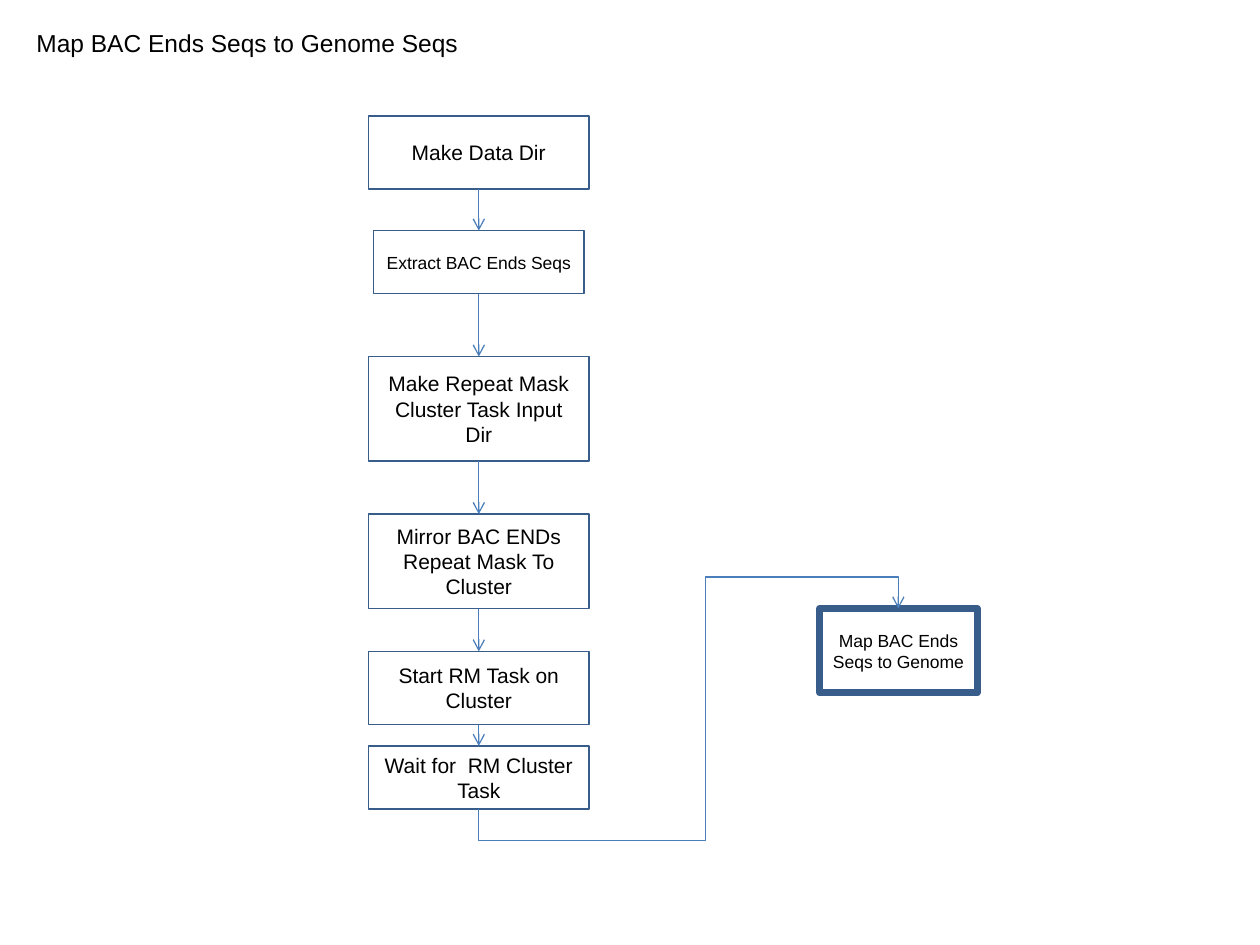
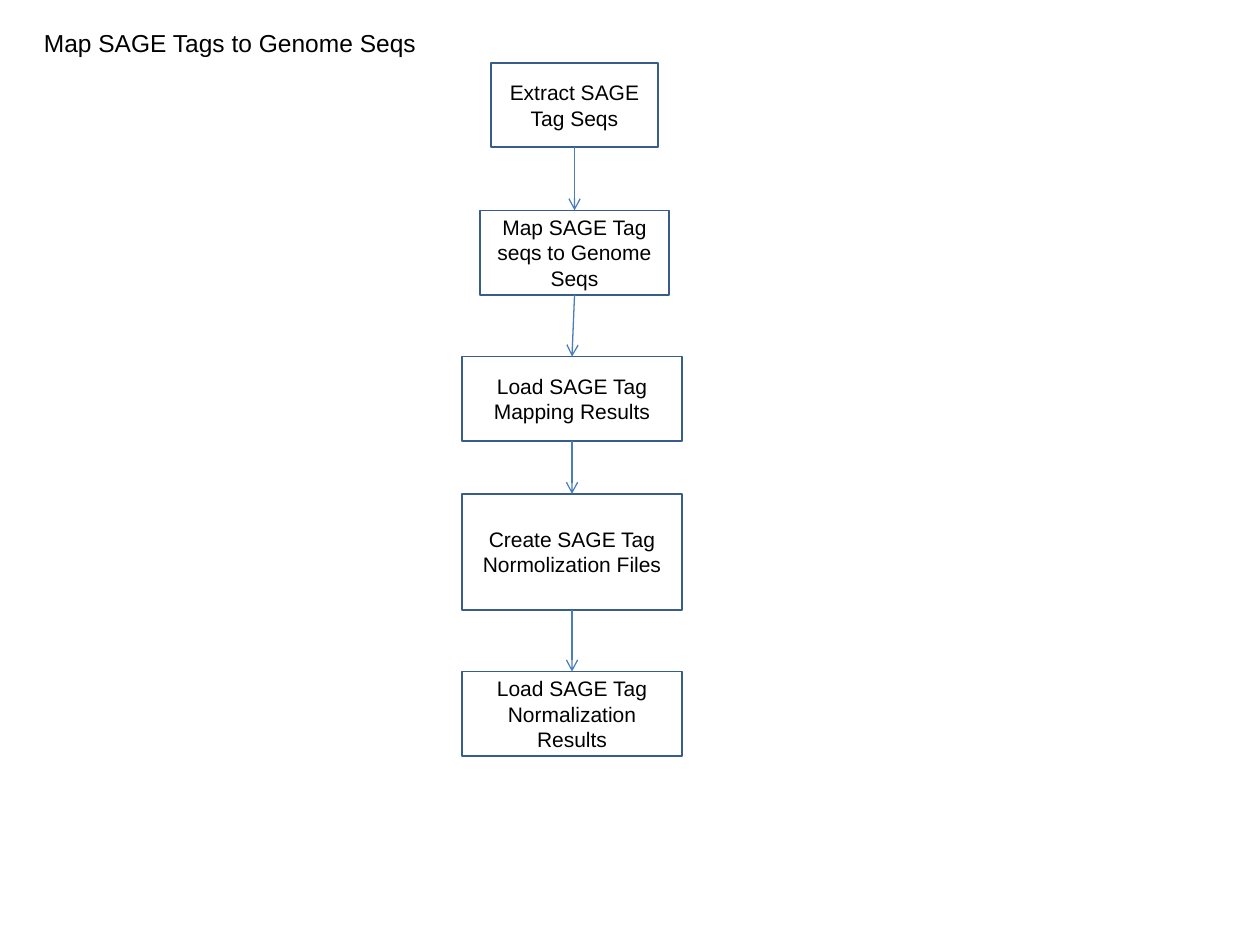
from dataclasses import dataclass

from lxml.etree import SubElement
from pptx import Presentation
from pptx.dml.color import RGBColor
from pptx.enum.shapes import MSO_CONNECTOR, MSO_SHAPE
from pptx.enum.text import MSO_ANCHOR, PP_ALIGN
from pptx.oxml.ns import qn
from pptx.util import Inches, Pt

BLACK = RGBColor(0x00, 0x00, 0x00)
BOX_LINE = RGBColor(0x38, 0x5D, 0x8A)
ARROW_LINE = RGBColor(0x4A, 0x7E, 0xBB)
FONT = "Arial"
BOTTOM, TOP = 2, 0  # connection sites of a rectangle


@dataclass
class Title:
    text: str
    left: float
    width: float
    height: float = 0.34


@dataclass
class Step:
    text: str
    center: float
    top: float
    width: float
    height: float
    size: int = 12
    line: float = 1


@dataclass
class Flow:
    title: Title
    steps: list[Step]


BAC_X, SAGE_X, STEP_W = 3.8, 4.54, 1.75

BAC_FLOW = Flow(
    Title("Map BAC Ends Seqs to Genome Seqs", 0.19, 3.55),
    [
        Step("Make Data Dir", BAC_X, 0.92, STEP_W, 0.58),
        Step("Extract BAC Ends Seqs", BAC_X, 1.83, 1.67, 0.5, size=10),
        Step("Make Repeat Mask Cluster Task Input Dir", BAC_X, 2.83, STEP_W, 0.83),
        Step("Mirror BAC ENDs Repeat Mask To Cluster", BAC_X, 4.08, STEP_W, 0.75),
        Step("Start RM Task on Cluster", BAC_X, 5.17, STEP_W, 0.58),
        Step("Wait for  RM Cluster Task", BAC_X, 5.92, STEP_W, 0.5),
    ],
)
GENOME_STEP = Step("Map BAC Ends Seqs to Genome", 7.13, 4.83, 1.25, 0.67, size=10, line=4)

SAGE_FLOW = Flow(
    Title("Map SAGE Tags to Genome Seqs", 0.25, 3.17, 0.57),
    [
        Step("Extract SAGE Tag Seqs", 4.56, 0.5, 1.33, 0.67),
        Step("Map SAGE Tag seqs to Genome Seqs", 4.56, 1.67, 1.5, 0.67),
        Step("Load SAGE Tag Mapping Results", SAGE_X, 2.83, STEP_W, 0.67),
        Step("Create SAGE Tag Normolization Files", SAGE_X, 3.92, STEP_W, 0.92),
        Step("Load SAGE Tag Normalization Results", SAGE_X, 5.33, STEP_W, 0.67),
    ],
)


def write(tf, text: str, size: int, align, **frame) -> None:
    for name, value in frame.items():
        setattr(tf, name, value)
    p = tf.paragraphs[0]
    p.alignment = align
    r = p.add_run()
    r.text = text
    for name, value in {"name": FONT, "size": Pt(size)}.items():
        setattr(r.font, name, value)
    r.font.color.rgb = BLACK


def add_title(s, title: Title) -> None:
    sp = s.shapes.add_textbox(Inches(title.left), Inches(0.17),
                              Inches(title.width), Inches(title.height))
    write(sp.text_frame, title.text, 14, PP_ALIGN.LEFT, word_wrap=False)


def add_step(s, step: Step):
    sp = s.shapes.add_shape(MSO_SHAPE.RECTANGLE, Inches(step.center - step.width / 2),
                            Inches(step.top), Inches(step.width), Inches(step.height))
    sp.shadow.inherit = False
    sp.fill.background()
    sp.line.color.rgb = BOX_LINE
    sp.line.width = Pt(step.line)
    write(sp.text_frame, step.text, step.size, PP_ALIGN.CENTER,
          word_wrap=True, vertical_anchor=MSO_ANCHOR.MIDDLE)
    return sp


def style_arrow(cxn) -> None:
    cxn.line.color.rgb = ARROW_LINE
    cxn.line.width = Pt(0.75)
    SubElement(cxn.line._get_or_add_ln(), qn("a:tailEnd"), type="arrow")
    SubElement(cxn._element.spPr, qn("a:effectLst"))


def add_arrow(s, upper, lower) -> None:
    cxn = s.shapes.add_connector(MSO_CONNECTOR.STRAIGHT, 0, 0, 0, 0)
    cxn.begin_connect(upper, BOTTOM)
    cxn.end_connect(lower, TOP)
    style_arrow(cxn)


def add_loop_arrow(s, start: Step, end: Step) -> None:
    """Leave start downwards, rise between the columns, enter end from above."""
    x1, y1 = start.center, start.top + start.height
    x2, y2 = end.center, end.top
    rise, run = y1 - y2, x2 - x1
    # The frame is turned a quarter, so its width is the rise
    left, top = (x1 + x2 - rise) / 2, (y1 + y2 - run) / 2
    cxn = s.shapes.add_connector(MSO_CONNECTOR.ELBOW, Inches(left), Inches(top),
                                 Inches(left + rise), Inches(top + run))
    spPr = cxn._element.spPr
    for name, value in {"rot": "5400000", "flipH": "1", "flipV": "1"}.items():
        spPr.find(qn("a:xfrm")).set(name, value)
    geom = spPr.find(qn("a:prstGeom"))
    geom.set("prst", "bentConnector5")
    guides = geom.find(qn("a:avLst"))
    if guides is None:
        guides = SubElement(geom, qn("a:avLst"))
    for i, share in enumerate((-0.25 / rise, 0.54, 1 + 0.25 / rise), 1):
        SubElement(guides, qn("a:gd"), name=f"adj{i}", fmla=f"val {round(share * 100000)}")
    style_arrow(cxn)


def add_flow(prs, flow: Flow):
    s = prs.slides.add_slide(prs.slide_layouts[6])
    add_title(s, flow.title)
    boxes = [add_step(s, step) for step in flow.steps]
    for upper, lower in zip(boxes, boxes[1:]):
        add_arrow(s, upper, lower)
    return s


def main() -> None:
    prs = Presentation()
    prs.slide_width, prs.slide_height = Inches(10), Inches(7.5)

    # BAC ends: the column loops up to the final mapping step
    s = add_flow(prs, BAC_FLOW)
    add_step(s, GENOME_STEP)
    add_loop_arrow(s, BAC_FLOW.steps[-1], GENOME_STEP)

    # SAGE tags: a single column
    add_flow(prs, SAGE_FLOW)

    prs.save("out.pptx")


if __name__ == "__main__":
    main()
